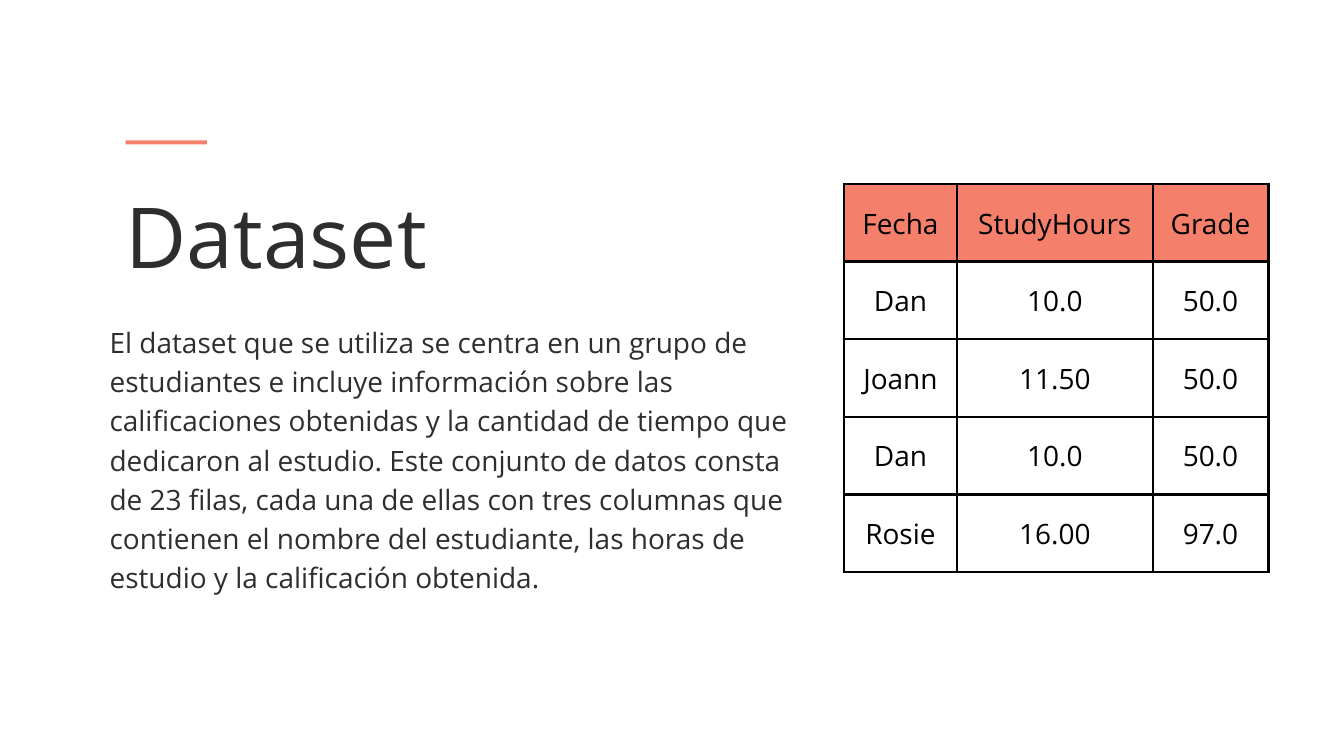
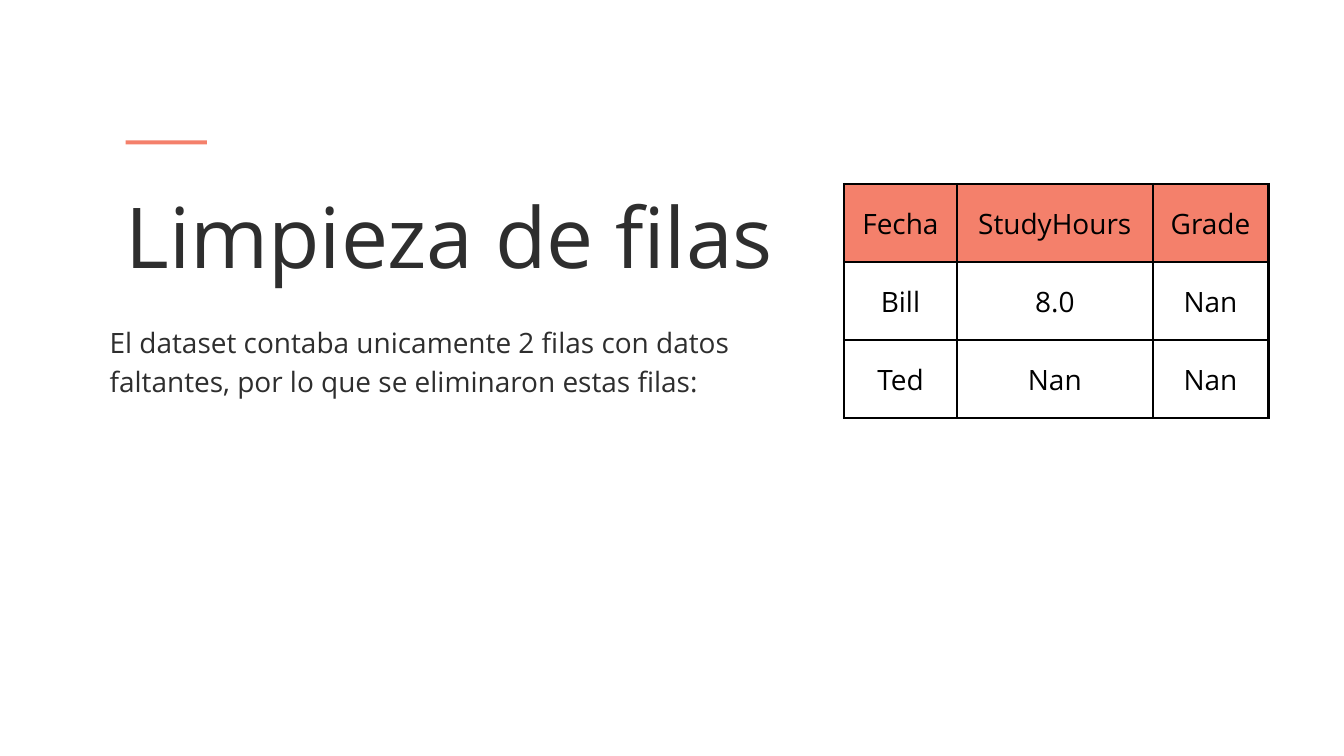
from lxml import etree
from pptx import Presentation
from pptx.dml.color import RGBColor
from pptx.enum.shapes import MSO_SHAPE
from pptx.enum.text import MSO_ANCHOR, MSO_AUTO_SIZE, PP_ALIGN
from pptx.oxml.ns import qn
from pptx.util import Pt

FONT = "Open Sans"
CORAL, INK, BLACK, WHITE = "F4806B", "2E2E2E", "000000", "FFFFFF"

# Shared layout, in points
SLIDE_W, SLIDE_H = 1440, 810
TEXT_W = 747.4
BAR_BOX = (134.6, 150.5, 87.1, 4.3)
TITLE_BOX = (134.6, 197.3, TEXT_W, 108)
TABLE_AT = (904.3, 197.3)
COL_WIDTHS = (121, 209.8, 123.8)
CELL_INSET = 15
BORDER_W = 3
BODY_SIZE, BODY_LEADING = 30, 42

HEADER = ("Fecha", "StudyHours", "Grade")
SLIDES = [
    dict(
        title="Dataset",
        body="El dataset que se utiliza se centra en un grupo de estudiantes e "
             "incluye información sobre las calificaciones obtenidas y la "
             "cantidad de tiempo que dedicaron al estudio. Este conjunto de "
             "datos consta de 23 filas, cada una de ellas con tres columnas que "
             "contienen el nombre del estudiante, las horas de estudio y la "
             "calificación obtenida.",
        body_box=(117.4, 342.7, TEXT_W, 292.3),
        rows=[("Dan", "10.0", "50.0"), ("Joann", "11.50", "50.0"),
              ("Dan", "10.0", "50.0"), ("Rosie", "16.00", "97.0")],
        row_h=83.1,
    ),
    dict(
        title="Limpieza de filas",
        body="El dataset contaba unicamente 2 filas con datos faltantes, por lo "
             "que se eliminaron estas filas:",
        body_box=(117.4, 342.7, TEXT_W, 82.8),
        rows=[("Bill", "8.0", "Nan"), ("Ted", "Nan", "Nan")],
        row_h=83.5,
    ),
]


def rgb(value):
    return RGBColor.from_string(value)


def write(tf, text, size, leading, color, align=PP_ALIGN.LEFT):
    p = tf.paragraphs[0]
    p.alignment = align
    p.line_spacing = Pt(leading)
    r = p.add_run()
    r.text = text
    r.font.name, r.font.size = FONT, Pt(size)
    r.font.color.rgb = rgb(color)


def set_frame(tf):
    tf.word_wrap = True
    tf.auto_size = MSO_AUTO_SIZE.SHAPE_TO_FIT_TEXT
    tf.vertical_anchor = MSO_ANCHOR.TOP
    tf.margin_left = tf.margin_right = tf.margin_top = tf.margin_bottom = 0


def add_bar(s, box):
    bar = s.shapes.add_shape(MSO_SHAPE.RECTANGLE, *map(Pt, box))
    bar.shadow.inherit = False
    bar.fill.solid()
    bar.fill.fore_color.rgb = rgb(CORAL)
    bar.line.fill.background()


def set_title(s, text, box):
    title = s.shapes.title
    title.left, title.top, title.width, title.height = map(Pt, box)
    set_frame(title.text_frame)
    write(title.text_frame, text, 90, 108, INK)


def add_body(s, text, box):
    tf = s.shapes.add_textbox(*map(Pt, box)).text_frame
    set_frame(tf)
    write(tf, text, BODY_SIZE, BODY_LEADING, INK)


def set_borders(cell):
    tc_pr = cell._tc.get_or_add_tcPr()
    for side in ("a:lnL", "a:lnR", "a:lnT", "a:lnB"):
        ln = etree.SubElement(tc_pr, qn(side), w=str(Pt(BORDER_W)))
        fill = etree.SubElement(ln, qn("a:solidFill"))
        etree.SubElement(fill, qn("a:srgbClr"), val=BLACK)


def add_data_table(s, rows, at, row_h):
    data = [HEADER, *rows]
    size = (sum(COL_WIDTHS), row_h * len(data))
    table = s.shapes.add_table(len(data), len(HEADER), *map(Pt, at + size)).table
    table.first_row = table.horz_banding = False
    for column, width in zip(table.columns, COL_WIDTHS):
        column.width = Pt(width)
    for i, values in enumerate(data):
        table.rows[i].height = Pt(row_h)
        for j, value in enumerate(values):
            cell = table.cell(i, j)
            cell.margin_left = cell.margin_right = Pt(CELL_INSET)
            cell.margin_top = cell.margin_bottom = Pt(CELL_INSET)
            cell.vertical_anchor = MSO_ANCHOR.MIDDLE
            set_borders(cell)  # borders come before the fill in the cell's XML
            cell.fill.solid()
            cell.fill.fore_color.rgb = rgb(WHITE if i else CORAL)
            write(cell.text_frame, value, BODY_SIZE, BODY_LEADING, BLACK,
                  PP_ALIGN.CENTER)


def add_table_slide(prs, title, body, body_box, rows, row_h):
    s = prs.slides.add_slide(prs.slide_layouts[5])
    add_bar(s, BAR_BOX)
    add_data_table(s, rows, TABLE_AT, row_h)
    set_title(s, title, TITLE_BOX)
    add_body(s, body, body_box)


def main():
    prs = Presentation()
    prs.slide_width, prs.slide_height = Pt(SLIDE_W), Pt(SLIDE_H)
    for content in SLIDES:
        add_table_slide(prs, **content)
    prs.save("out.pptx")


if __name__ == "__main__":
    main()
